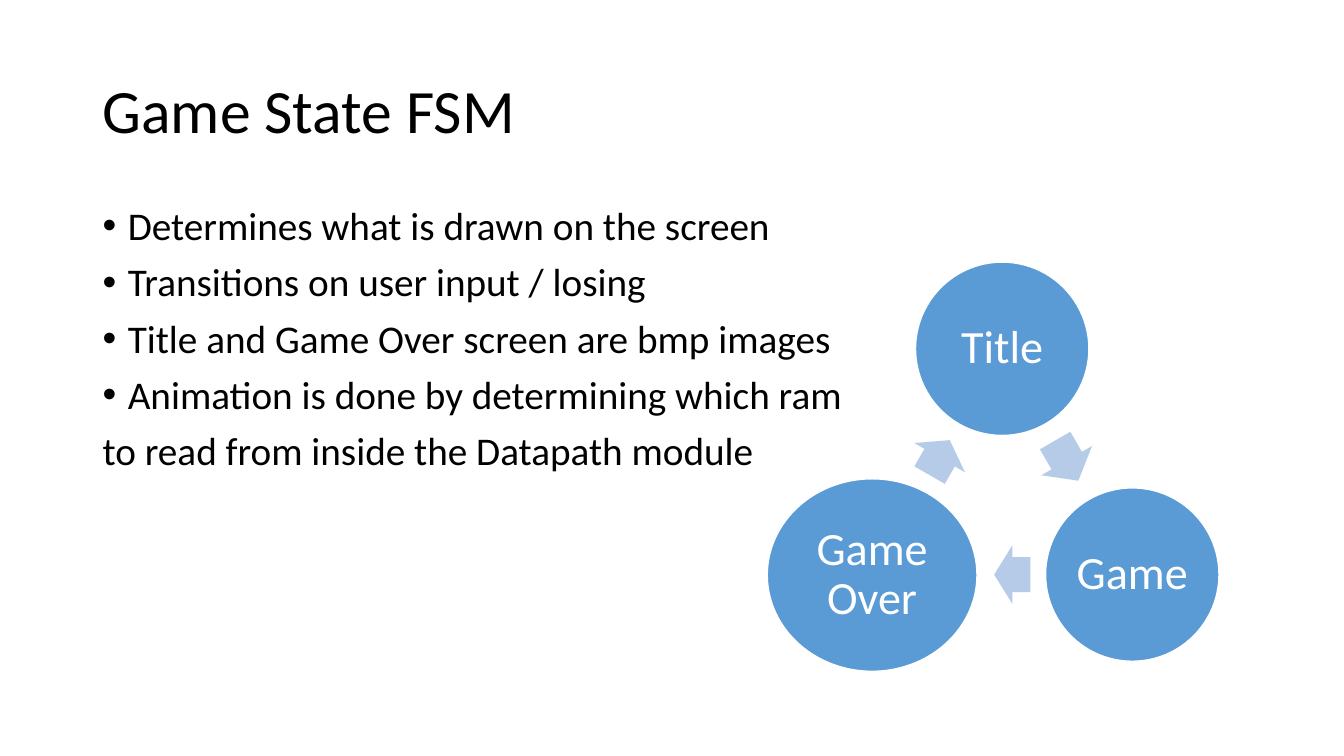
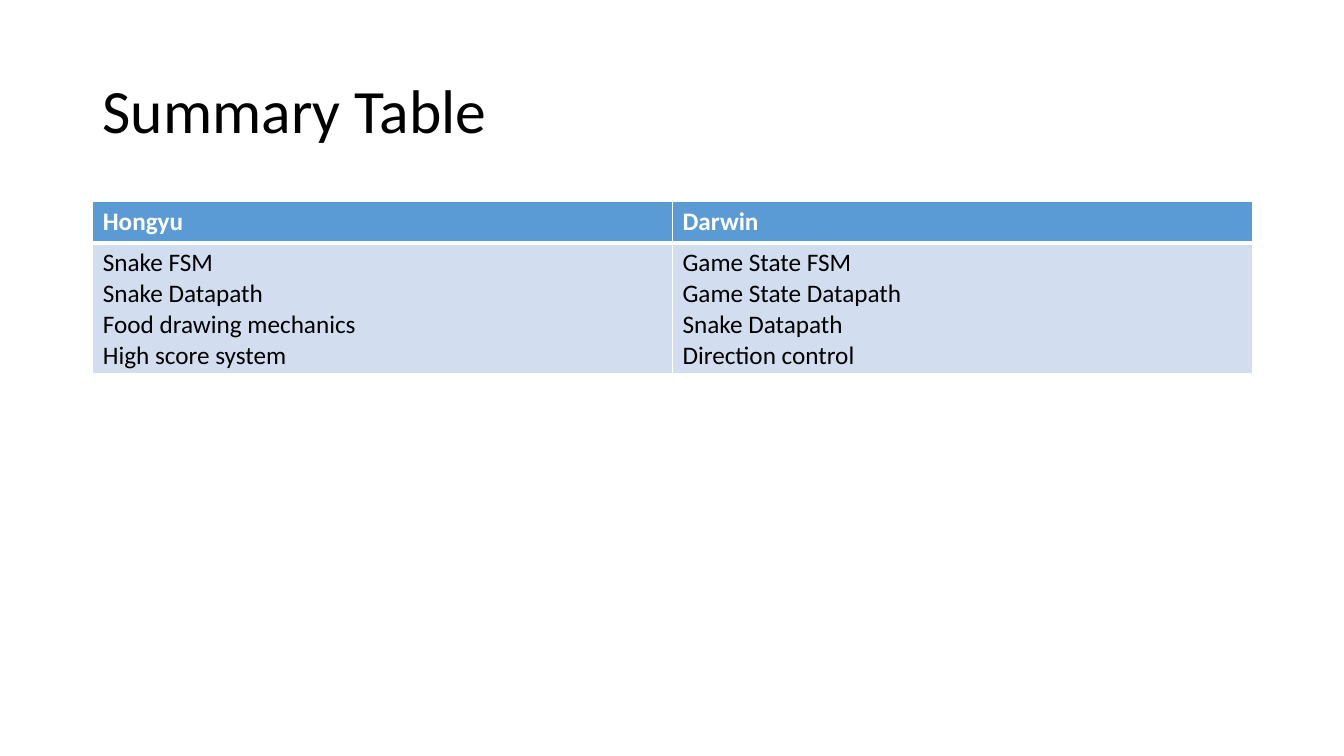
from lxml.etree import SubElement
from pptx import Presentation
from pptx.dml.color import RGBColor
from pptx.enum.shapes import MSO_SHAPE
from pptx.enum.text import MSO_ANCHOR, PP_ALIGN
from pptx.oxml.ns import qn
from pptx.util import Inches, Pt

BLACK = RGBColor(0x00, 0x00, 0x00)
WHITE = RGBColor(0xFF, 0xFF, 0xFF)
BLUE = RGBColor(0x5B, 0x9B, 0xD5)
ARROW_BLUE = RGBColor(0xB5, 0xCB, 0xE7)
PALE_BLUE = RGBColor(0xD2, 0xDE, 0xEF)

FONT = "Calibri"
LEFT, WIDTH = 0.92, 11.5
TITLE_BOX = (LEFT, 0.4, WIDTH, 1.45)
BODY_BOX = (LEFT, 2, WIDTH, 4.76)
HEADER_HEIGHT, BODY_ROW_HEIGHT = 0.41, 1.3

TITLE_FORMAT = {"line_spacing": 0.9}
BODY_FORMAT = {"line_spacing": 0.9, "space_before": Pt(10)}
STATE_FORMAT = {"line_spacing": 0.9, "alignment": PP_ALIGN.CENTER}
NO_MARGINS = {f"margin_{side}": 0 for side in ("left", "top", "right", "bottom")}

BULLETS = [
    "Determines what is drawn on the screen",
    "Transitions on user input / losing",
    "Title and Game Over screen are bmp images",
    "Animation is done by determining which ram",
]
CLOSING_LINE = "to read from inside the Datapath module"

STATES = [
    ("Title", (9.08, 2.6, 1.72, 1.72)),
    ("Game", (10.37, 4.84, 1.72, 1.72)),
    ("Game Over", (7.61, 4.75, 2.08, 1.91)),
]
TRANSITIONS = [
    (60, (10.35, 4.28, 0.46, 0.58)),
    (180, (9.86, 5.41, 0.36, 0.58)),
    (300, (9.12, 4.25, 0.4, 0.58)),
]
TASKS = {
    "Hongyu": ["Snake FSM", "Snake Datapath", "Food drawing mechanics",
               "High score system"],
    "Darwin": ["Game State FSM", "Game State Datapath", "Snake Datapath",
               "Direction control"],
}


def inches(box):
    return [Inches(length) for length in box]


def apply_format(target, values):
    for attribute, value in values.items():
        setattr(target, attribute, value)


def write_lines(frame, lines, size, color, bold=False, paragraph_format=None):
    """Fill a text frame with one paragraph per line."""
    for index, line in enumerate(lines):
        paragraph = frame.add_paragraph() if index else frame.paragraphs[0]
        apply_format(paragraph, paragraph_format or {})
        run = paragraph.add_run()
        run.text = line
        apply_format(run.font, {"name": FONT, "size": Pt(size), "bold": bold})
        run.font.color.rgb = color


def add_text(slide, box, lines, size, paragraph_format, anchor):
    frame = slide.shapes.add_textbox(*inches(box)).text_frame
    apply_format(frame, {"word_wrap": True, "vertical_anchor": anchor})
    write_lines(frame, lines, size, BLACK, paragraph_format=paragraph_format)
    return frame


def add_bullet(paragraph):
    properties = paragraph._p.get_or_add_pPr()
    properties.set("marL", str(Inches(0.25)))
    properties.set("indent", str(-Inches(0.25)))
    SubElement(properties, qn("a:buFont"), typeface="Arial")
    SubElement(properties, qn("a:buChar"), char="•")


def add_filled_shape(slide, preset, box, color):
    shape = slide.shapes.add_shape(preset, *inches(box))
    shape.shadow.inherit = False
    shape.fill.solid()
    shape.fill.fore_color.rgb = color
    return shape


def add_state(slide, label, box):
    state = add_filled_shape(slide, MSO_SHAPE.OVAL, box, BLUE)
    state.line.color.rgb = WHITE
    state.line.width = Pt(1)
    frame = state.text_frame
    apply_format(frame, {"word_wrap": True,
                         "vertical_anchor": MSO_ANCHOR.MIDDLE, **NO_MARGINS})
    write_lines(frame, [label], 33, WHITE, paragraph_format=STATE_FORMAT)


def add_transition(slide, rotation, box):
    arrow = add_filled_shape(slide, MSO_SHAPE.RIGHT_ARROW, box, ARROW_BLUE)
    arrow.line.fill.background()
    arrow.rotation = rotation
    arrow.adjustments[0] = 0.6
    arrow.adjustments[1] = 0.5


def set_borders(cell, widths):
    """Draw white cell borders; widths maps L, R, T and B to points."""
    properties = cell._tc.get_or_add_tcPr()
    for side, width in widths.items():
        border = SubElement(properties, qn(f"a:ln{side}"), w=str(Pt(width)))
        fill = SubElement(border, qn("a:solidFill"))
        SubElement(fill, qn("a:srgbClr"), val=str(WHITE))


def fill_cell(cell, lines, fill, color, bold, borders):
    set_borders(cell, borders)
    cell.fill.solid()
    cell.fill.fore_color.rgb = fill
    write_lines(cell.text_frame, lines, 18, color, bold)


def add_task_table(slide, tasks):
    box = (LEFT, 2, WIDTH, HEADER_HEIGHT + BODY_ROW_HEIGHT)
    table = slide.shapes.add_table(2, len(tasks), *inches(box)).table
    table.horz_banding = False
    for row, height in zip(table.rows, (HEADER_HEIGHT, BODY_ROW_HEIGHT)):
        row.height = Inches(height)
    for column, (member, items) in enumerate(tasks.items()):
        table.columns[column].width = Inches(WIDTH / len(tasks))
        fill_cell(table.cell(0, column), [member], BLUE, WHITE, True,
                  {"L": 1, "R": 1, "T": 1, "B": 3})
        fill_cell(table.cell(1, column), items, PALE_BLUE, BLACK, False,
                  {"L": 1, "R": 1, "T": 3, "B": 1})


def add_titled_slide(presentation, title):
    slide = presentation.slides.add_slide(presentation.slide_layouts[6])
    add_text(slide, TITLE_BOX, [title], 44, TITLE_FORMAT, MSO_ANCHOR.MIDDLE)
    return slide


def build_state_slide(presentation):
    slide = add_titled_slide(presentation, "Game State FSM")
    body = add_text(slide, BODY_BOX, BULLETS + [CLOSING_LINE], 28,
                    BODY_FORMAT, MSO_ANCHOR.TOP)
    for paragraph in body.paragraphs[:len(BULLETS)]:
        add_bullet(paragraph)
    for label, box in STATES:
        add_state(slide, label, box)
    for rotation, box in TRANSITIONS:
        add_transition(slide, rotation, box)


def build_summary_slide(presentation):
    slide = add_titled_slide(presentation, "Summary Table")
    add_task_table(slide, TASKS)


def main():
    presentation = Presentation()
    presentation.slide_width = Inches(13.33)
    presentation.slide_height = Inches(7.5)
    build_state_slide(presentation)
    build_summary_slide(presentation)
    presentation.save("out.pptx")


if __name__ == "__main__":
    main()
